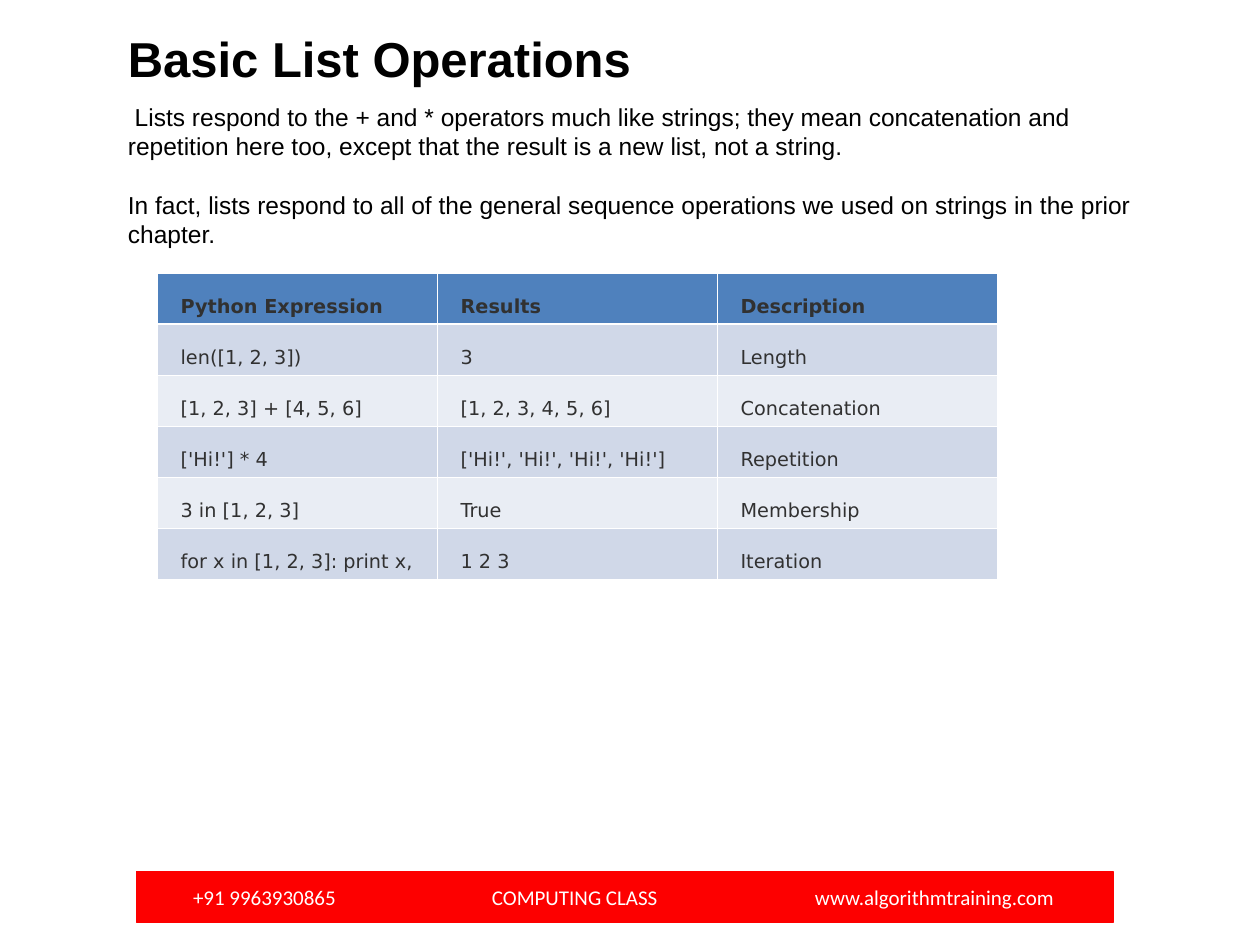
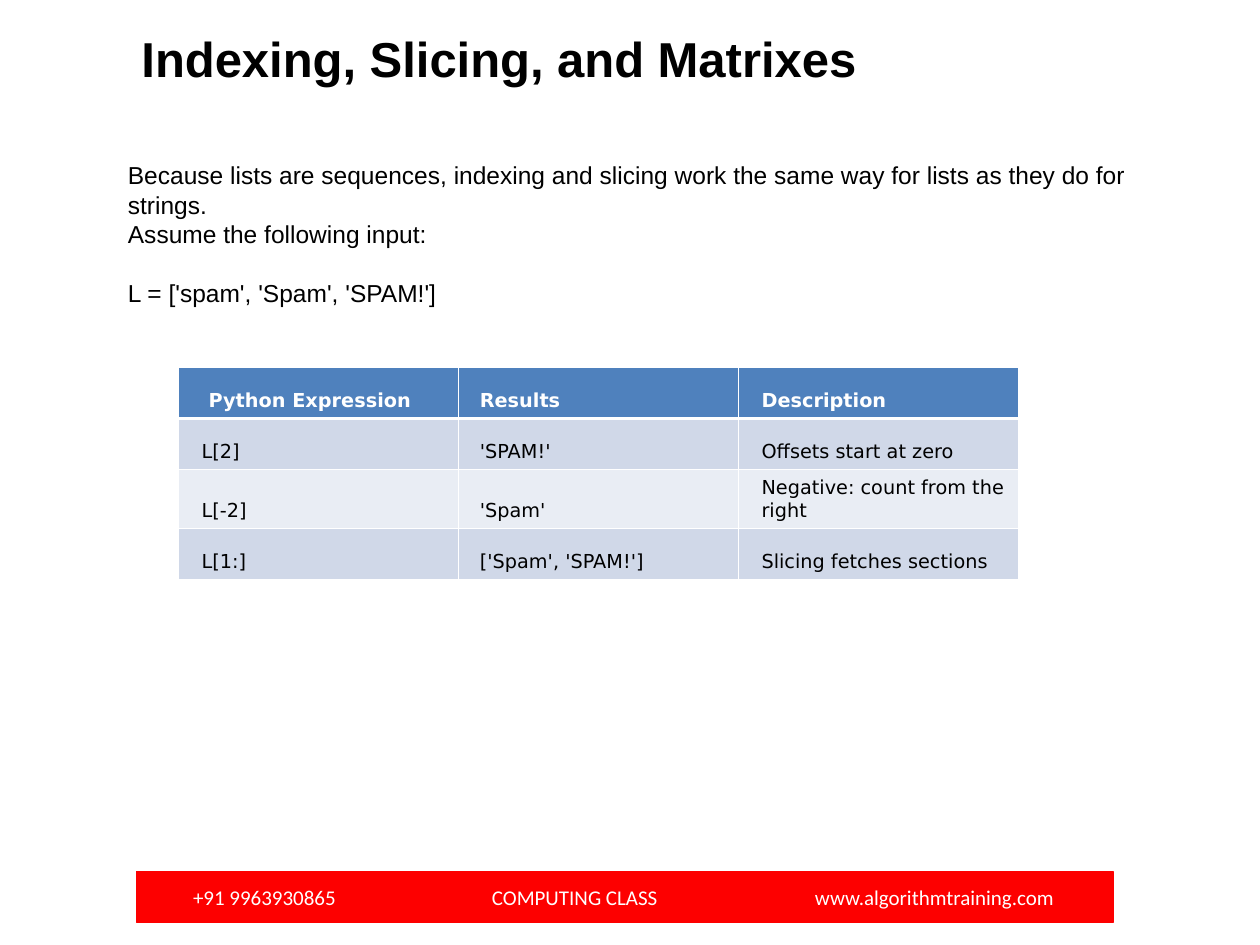
"""Build two slides on Python list operations."""
import dataclasses

import lxml.etree
import pptx
import pptx.dml.color
import pptx.enum.shapes
import pptx.enum.text
import pptx.oxml.ns
import pptx.util

Pt = pptx.util.Pt
qn = pptx.oxml.ns.qn


@dataclasses.dataclass(frozen=True)
class Theme:
    """Colours, fonts and type sizes shared by the slides."""
    black: str = "000000"
    white: str = "FFFFFF"
    charcoal: str = "313131"
    red: str = "FD0000"
    header: str = "4F81BD"
    bands: tuple = ("E9EDF4", "D0D8E8")
    text_font: str = "Arial"
    table_font: str = "DejaVu Sans"
    footer_font: str = "Calibri"
    title_size: float = 28
    title_leading: float = 33.8
    body_size: float = 14
    body_leading: float = 16.8
    table_size: float = 11
    table_leading: float = 13.2
    footer_size: float = 12
    thin: float = 0.45
    thick: float = 1.47


THEME = Theme()
LEFT = 66
COLUMN_WIDTH = 160
ROW_HEIGHT = 29.2
HEADINGS = ("Python Expression", "Results", "Description")
FOOTER = ("+91 9963930865", "COMPUTING CLASS", "www.algorithmtraining.com")
FOOTER_TABS = (170.8, 355.4)


def rgb(colour):
    """Turn a hex string into a colour."""
    return pptx.dml.color.RGBColor.from_string(colour)


def add_run(paragraph, text, font, size, colour, bold=False):
    """Add one formatted run to a paragraph."""
    run = paragraph.add_run()
    run.text = text
    run.font.name = font
    run.font.size = Pt(size)
    run.font.bold = bold
    run.font.color.rgb = rgb(colour)


def indent_paragraph(paragraph, left=0, first=0):
    """Set the left margin and the first-line indent."""
    properties = paragraph._p.get_or_add_pPr()
    properties.set("marL", str(Pt(left)))
    properties.set("indent", str(Pt(first)))


def add_text_box(slide, top, width, height):
    """Add a wrapping text box at the left margin and return its frame."""
    box = slide.shapes.add_textbox(Pt(LEFT), Pt(top), Pt(width), Pt(height))
    box.text_frame.word_wrap = True
    return box.text_frame


def add_title(slide, text, first_indent=0):
    """Add the slide title."""
    paragraph = add_text_box(slide, 12.5, 540, 41).paragraphs[0]
    paragraph.line_spacing = Pt(THEME.title_leading)
    indent_paragraph(paragraph, first=first_indent)
    add_run(paragraph, text, THEME.text_font, THEME.title_size, THEME.black, True)


def add_body(slide, top, height, lines, first_indent=0):
    """Add body paragraphs given as pairs of text and space before."""
    frame = add_text_box(slide, top, 588, height)
    for index, (text, space_before) in enumerate(lines):
        paragraph = frame.add_paragraph() if index else frame.paragraphs[0]
        paragraph.line_spacing = Pt(THEME.body_leading)
        if index:
            paragraph.space_before = Pt(space_before)
        else:
            indent_paragraph(paragraph, first=first_indent)
        add_run(paragraph, text, THEME.text_font, THEME.body_size, THEME.black)


def add_footer(slide):
    """Add the red contact band."""
    band = slide.shapes.add_shape(pptx.enum.shapes.MSO_SHAPE.RECTANGLE,
                                  Pt(78), Pt(498), Pt(558), Pt(29))
    band.shadow.inherit = False
    band.fill.solid()
    band.fill.fore_color.rgb = rgb(THEME.red)
    band.line.color.rgb = rgb(THEME.red)
    band.line.width = Pt(0.75)
    frame = band.text_frame
    frame.word_wrap = True
    frame.margin_left = Pt(32.3)
    frame.vertical_anchor = pptx.enum.text.MSO_ANCHOR.MIDDLE
    paragraph = frame.paragraphs[0]
    paragraph.alignment = pptx.enum.text.PP_ALIGN.LEFT
    tabs = lxml.etree.SubElement(paragraph._p.get_or_add_pPr(), qn("a:tabLst"))
    for position in FOOTER_TABS:
        lxml.etree.SubElement(tabs, qn("a:tab"), pos=str(Pt(position)), algn="l")
    add_run(paragraph, "\t".join(FOOTER), THEME.footer_font,
            THEME.footer_size, THEME.white)


def add_borders(cell, row_index):
    """Draw white cell borders, thicker below the header row."""
    widths = {"lnL": THEME.thin, "lnR": THEME.thin,
              "lnT": THEME.thick if row_index == 1 else THEME.thin,
              "lnB": THEME.thick if row_index == 0 else THEME.thin}
    properties = cell._tc.get_or_add_tcPr()
    for side, width in widths.items():
        line = lxml.etree.SubElement(properties, qn(f"a:{side}"), w=str(Pt(width)))
        fill = lxml.etree.SubElement(line, qn("a:solidFill"))
        lxml.etree.SubElement(fill, qn("a:srgbClr"), val=THEME.white)


def fill_cell(cell, row_index, text, indent, colour):
    """Format one table cell and write its text."""
    add_borders(cell, row_index)
    cell.fill.solid()
    fill = THEME.bands[row_index % 2] if row_index else THEME.header
    cell.fill.fore_color.rgb = rgb(fill)
    cell.vertical_anchor = pptx.enum.text.MSO_ANCHOR.BOTTOM
    paragraph = cell.text_frame.paragraphs[0]
    paragraph.line_spacing = Pt(THEME.table_leading)
    indent_paragraph(paragraph, left=indent)
    add_run(paragraph, text, THEME.table_font, THEME.table_size, colour,
            row_index == 0)


def add_expression_table(slide, left, top, rows, header_colour, text_colour,
                         header_indents, indents):
    """Add a table of expressions, results and descriptions."""
    rows = (HEADINGS, *rows)
    table = slide.shapes.add_table(
        len(rows), len(HEADINGS), Pt(left), Pt(top),
        Pt(COLUMN_WIDTH * len(HEADINGS)), Pt(ROW_HEIGHT * len(rows))).table
    for column in table.columns:
        column.width = Pt(COLUMN_WIDTH)
    for row_index, row in enumerate(rows):
        table.rows[row_index].height = Pt(ROW_HEIGHT)
        row_indents = indents if row_index else header_indents
        colour = text_colour if row_index else header_colour
        for column_index, text in enumerate(row):
            fill_cell(table.cell(row_index, column_index), row_index, text,
                      row_indents[column_index], colour)


def add_operations_slide(presentation):
    """Add the slide on basic list operations."""
    slide = presentation.slides.add_slide(presentation.slide_layouts[6])
    add_body(slide, 54.5, 91, (
        ("Lists respond to the + and * operators much like strings; they mean "
         "concatenation and repetition here too, except that the result is a "
         "new list, not a string.", 0),
        ("In fact, lists respond to all of the general sequence operations we "
         "used on strings in the prior chapter.", THEME.body_leading),
    ), first_indent=3.9)
    add_title(slide, "Basic List Operations")
    add_footer(slide)
    add_expression_table(slide, 90, 156, (
        ("len([1, 2, 3])", "3", "Length"),
        ("[1, 2, 3] + [4, 5, 6]", "[1, 2, 3, 4, 5, 6]", "Concatenation"),
        ("['Hi!'] * 4", "['Hi!', 'Hi!', 'Hi!', 'Hi!']", "Repetition"),
        ("3 in [1, 2, 3]", "True", "Membership"),
        ("for x in [1, 2, 3]: print x,", "1 2 3", "Iteration"),
    ), THEME.charcoal, THEME.charcoal, (6, 6, 6), (6, 6, 6))


def add_indexing_slide(presentation):
    """Add the slide on indexing, slicing and matrixes."""
    slide = presentation.slides.add_slide(presentation.slide_layouts[6])
    add_body(slide, 88, 91, (
        ("Because lists are sequences, indexing and slicing work the same way "
         "for lists as they do for strings.", 0),
        ("Assume the following input:", 0),
        ("L = ['spam', 'Spam', 'SPAM!']", THEME.body_leading),
    ))
    add_title(slide, "Indexing, Slicing, and Matrixes", first_indent=7.8)
    add_footer(slide)
    add_expression_table(slide, 102, 210, (
        ("L[2]", "'SPAM!'", "Offsets start at zero"),
        ("L[-2]", "'Spam'", "Negative: count from the right"),
        ("L[1:]", "['Spam', 'SPAM!']", "Slicing fetches sections"),
    ), THEME.white, THEME.black, (10, 5, 6), (6, 5, 6))


def main():
    """Build and save the presentation."""
    presentation = pptx.Presentation()
    presentation.slide_width = Pt(720)
    presentation.slide_height = Pt(540)
    add_operations_slide(presentation)
    add_indexing_slide(presentation)
    presentation.save("out.pptx")


if __name__ == "__main__":
    main()
